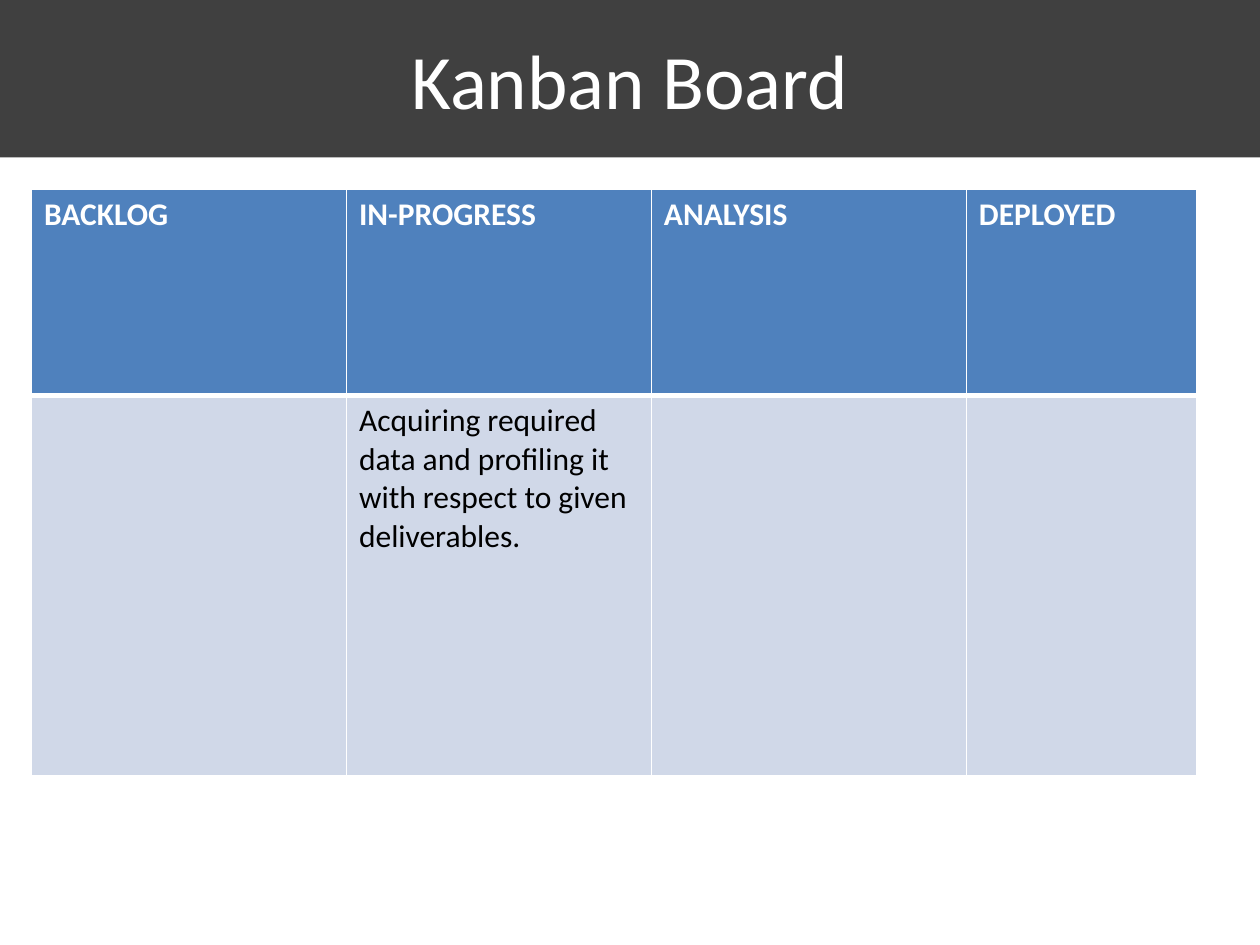
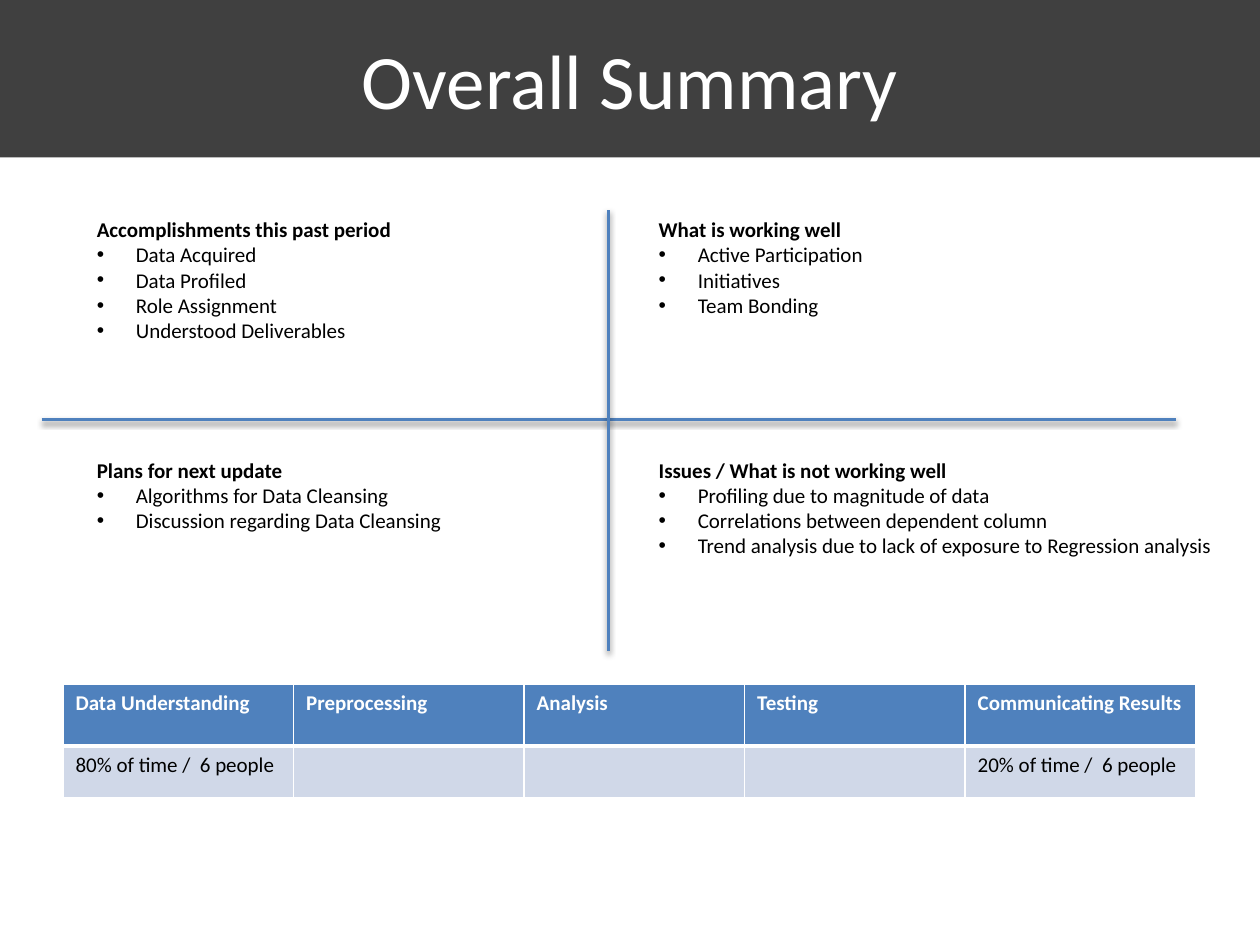
from lxml import etree
from pptx import Presentation
from pptx.dml.color import RGBColor
from pptx.enum.shapes import MSO_CONNECTOR
from pptx.enum.text import MSO_ANCHOR, PP_ALIGN
from pptx.oxml import parse_xml
from pptx.oxml.ns import nsdecls, qn
from pptx.util import Emu, Inches, Pt

STRAIGHT = MSO_CONNECTOR.STRAIGHT
MIDDLE, TOP = MSO_ANCHOR.MIDDLE, MSO_ANCHOR.TOP
CENTER, LEFT = PP_ALIGN.CENTER, PP_ALIGN.LEFT

FONT = "Calibri"
WHITE = RGBColor(0xFF, 0xFF, 0xFF)
BLACK = RGBColor(0x00, 0x00, 0x00)
BAND = RGBColor(0x40, 0x40, 0x40)
BLUE = RGBColor(0x4F, 0x81, 0xBD)
PALE = RGBColor(0xD0, 0xD8, 0xE8)

W, H, BAND_H = 10, 7.5, 1.25

KANBAN = {
    "rows": [
        ["BACKLOG", "IN-PROGRESS", "ANALYSIS", "DEPLOYED"],
        ["", "Acquiring required data and profiling it with respect to given deliverables.", "", ""],
    ],
    "at": (0.25, 1.5), "widths": [2.5, 2.42, 2.5, 1.83], "heights": [1.64, 3.02], "size": 18,
}
EFFORT = {
    "rows": [
        ["Data Understanding", "Preprocessing", "Analysis", "Testing", "Communicating Results"],
        ["80% of time /  6 people", "", "", "", "20% of time /  6 people"],
    ],
    "at": (0.5, 5.43), "widths": [1.83, 1.83, 1.75, 1.75, 1.83], "heights": [0.49, 0.41], "size": 12,
}

# Quadrants: column, row, width, height, heading, points
QUADRANTS = [
    (0, 0, 2.57, 1.11, "Accomplishments this past period",
     ["Data Acquired", "Data Profiled", "Role Assignment", "Understood Deliverables"]),
    (1, 0, 1.84, 0.91, "What is working well",
     ["Active Participation", "Initiatives", "Team Bonding"]),
    (0, 1, 2.96, 0.91, "Plans for next update",
     ["Algorithms for Data Cleansing", "Discussion regarding Data Cleansing"]),
    (1, 1, 4.64, 1.11, "Issues / What is not working well",
     ["Profiling due to magnitude of data", "Correlations between dependent column",
      "Trend analysis due to lack of exposure to Regression analysis"]),
]
QUADRANT_X, QUADRANT_Y = (0.67, 5.13), (1.67, 3.58)
AXES = [(0.33, 3.33, 9.33, 3.33), (4.83, 1.67, 4.83, 5.17)]


def add_text(p, text, size, color, bold=False):
    r = p.add_run()
    r.text = text
    f = r.font
    f.name, f.size, f.bold = FONT, Pt(size), bold
    f.color.rgb = color


def add_titled_slide(prs, title):
    s = prs.slides.add_slide(prs.slide_layouts[5])
    sp = s.shapes.title
    sp.left, sp.top, sp.width, sp.height = 0, 0, Inches(W), Inches(BAND_H)
    sp.fill.solid()
    sp.fill.fore_color.rgb = BAND
    tf = sp.text_frame
    tf.vertical_anchor = MIDDLE
    p = tf.paragraphs[0]
    p.alignment = CENTER
    add_text(p, title, 44, WHITE)
    return s


def set_borders(cell, top, bottom):
    tcPr = cell._tc.get_or_add_tcPr()
    for side, points in (("L", 1), ("R", 1), ("T", top), ("B", bottom)):
        tcPr.append(parse_xml(
            f'<a:ln{side} {nsdecls("a")} w="{Pt(points)}"><a:solidFill>'
            f'<a:srgbClr val="{WHITE}"/></a:solidFill></a:ln{side}>'))


def add_grid(s, rows, at, widths, heights, size):
    """Add a table with a blue header row over a pale body."""
    frame = s.shapes.add_table(len(rows), len(widths), *map(Inches, at),
                               Inches(sum(widths)), Inches(sum(heights)))
    table = frame.table
    for column, width in zip(table.columns, widths):
        column.width = Inches(width)
    for i, (texts, height) in enumerate(zip(rows, heights)):
        header = i == 0
        table.rows[i].height = Inches(height)
        for j, text in enumerate(texts):
            cell = table.cell(i, j)
            set_borders(cell, top=1 if header else 3, bottom=3 if header else 1)
            cell.fill.solid()
            cell.fill.fore_color.rgb = BLUE if header else PALE
            if text:
                add_text(cell.text_frame.paragraphs[0], text, size,
                         WHITE if header else BLACK, header)


def set_bullet(p):
    pPr = p._p.get_or_add_pPr()
    indent = Inches(0.31)
    pPr.set("marL", str(indent))
    pPr.set("indent", str(-indent))
    etree.SubElement(pPr, qn("a:buFont")).set("typeface", "Arial")
    etree.SubElement(pPr, qn("a:buChar")).set("char", "•")


def add_quadrant(s, column, row, width, height, heading, points):
    tf = s.shapes.add_textbox(Inches(QUADRANT_X[column]), Inches(QUADRANT_Y[row]),
                              Inches(width), Inches(height)).text_frame
    tf.word_wrap = False
    tf.vertical_anchor = TOP
    p = tf.paragraphs[0]
    p.alignment = LEFT
    add_text(p, heading, 12, BLACK, True)
    for point in points:
        p = tf.add_paragraph()
        p.alignment = LEFT
        set_bullet(p)
        add_text(p, point, 12, BLACK)


def add_axis(s, ends):
    line = s.shapes.add_connector(STRAIGHT, *map(Inches, ends))
    line.line.color.rgb = BLUE
    line.line.width = Pt(2)
    line._element.spPr.append(parse_xml(
        f'<a:effectLst {nsdecls("a")}><a:outerShdw blurRad="{Emu(40000)}" dist="{Emu(20000)}" '
        'dir="5400000" rotWithShape="0"><a:srgbClr val="000000"><a:alpha val="38000"/>'
        '</a:srgbClr></a:outerShdw></a:effectLst>'))


def main():
    prs = Presentation()
    prs.slide_width, prs.slide_height = Inches(W), Inches(H)

    s = add_titled_slide(prs, "Kanban Board")
    add_grid(s, **KANBAN)

    s = add_titled_slide(prs, "Overall Summary")
    add_grid(s, **EFFORT)
    for quadrant in QUADRANTS:
        add_quadrant(s, *quadrant)
    for ends in AXES:
        add_axis(s, ends)

    prs.save("out.pptx")


if __name__ == "__main__":
    main()
